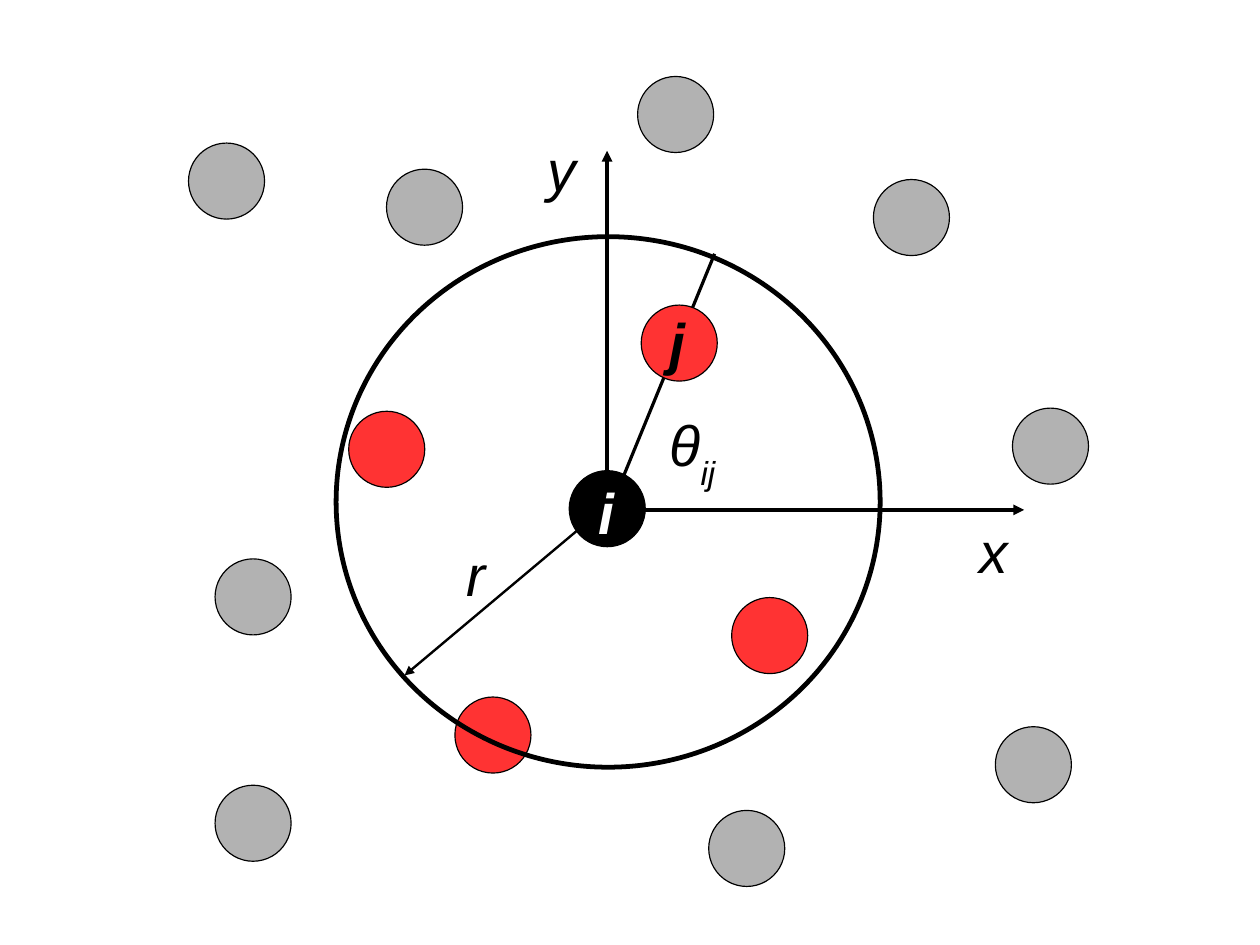
from lxml.etree import SubElement
from pptx import Presentation
from pptx.dml.color import RGBColor
from pptx.enum.shapes import MSO_CONNECTOR, MSO_SHAPE
from pptx.enum.text import MSO_AUTO_SIZE
from pptx.oxml.ns import qn
from pptx.util import Cm, Pt

BLACK = RGBColor(0x00, 0x00, 0x00)
WHITE = RGBColor(0xFF, 0xFF, 0xFF)
GREY = RGBColor(0xB2, 0xB2, 0xB2)
RED = RGBColor(0xFF, 0x33, 0x33)

DIAMETER = 1.69
DISTANT = [
    (4.19, 3.18), (8.59, 3.76), (14.17, 1.7), (19.41, 3.99), (22.5, 9.07),
    (4.78, 12.42), (4.78, 17.45), (15.75, 18.01), (22.12, 16.15),
]
NEIGHBOURS = [(7.75, 9.14), (10.11, 15.49), (16.26, 13.28)]


def add_ellipse(slide, left, top, width=DIAMETER, height=DIAMETER, fill=None, weight=0):
    ellipse = slide.shapes.add_shape(
        MSO_SHAPE.OVAL, Cm(left), Cm(top), Cm(width), Cm(height))
    ellipse.shadow.inherit = False
    if fill is None:
        ellipse.fill.background()
    else:
        ellipse.fill.solid()
        ellipse.fill.fore_color.rgb = fill
    ellipse.line.color.rgb = BLACK
    ellipse.line.width = Pt(weight)


def add_line(slide, start, end, weight=0, arrows=()):
    line = slide.shapes.add_connector(
        MSO_CONNECTOR.STRAIGHT, *(Cm(value) for value in start + end))
    line.line.color.rgb = BLACK
    line.line.width = Pt(weight)
    for arrow in arrows:
        SubElement(line.line._get_or_add_ln(), qn(f"a:{arrow}"), type="triangle")
    SubElement(line._element.spPr, qn("a:effectLst"))


def add_label(slide, text, left, top, height=1.73, subscript="", color=BLACK, bold=False):
    label = slide.shapes.add_textbox(Cm(left), Cm(top), Cm(2.08), Cm(height))
    frame = label.text_frame
    frame.word_wrap = True
    frame.auto_size = MSO_AUTO_SIZE.SHAPE_TO_FIT_TEXT
    for part, baseline in ((text, 0), (subscript, -33000)):
        if not part:
            continue
        run = frame.paragraphs[0].add_run()
        run.text = part
        run.font.name = "Arial"
        run.font.size = Pt(36)
        run.font.italic = True
        run.font.bold = bold
        run.font.color.rgb = color
        if baseline:
            run._r.get_or_add_rPr().set("baseline", str(baseline))


def main():
    presentation = Presentation()
    presentation.slide_width = Cm(28)
    presentation.slide_height = Cm(21)
    slide = presentation.slides.add_slide(presentation.slide_layouts[6])

    for particles, color in ((DISTANT, GREY), (NEIGHBOURS, RED)):
        for left, top in particles:
            add_ellipse(slide, left, top, fill=color)
    add_ellipse(slide, 7.47, 5.26, 12.09, 11.79, weight=3)

    add_line(slide, (13.79, 11.33), (22.76, 11.33), 2.3, ["tailEnd"])
    add_line(slide, (13.49, 10.8), (13.49, 3.35), 2.3, ["tailEnd"])
    add_label(slide, "x", 21.51, 11.35)
    add_label(slide, "y", 11.91, 2.87)

    add_line(slide, (13.59, 11.23), (15.88, 5.64))
    add_ellipse(slide, 14.25, 6.78, fill=RED)
    add_label(slide, "j", 14.63, 6.71, bold=True)
    add_label(slide, "θ", 14.63, 8.97, height=2.06, subscript="ij")

    add_line(slide, (13.41, 11.3), (8.99, 15.01), 1.5, ["headEnd", "tailEnd"])
    add_ellipse(slide, 12.65, 10.46, fill=BLACK)
    add_label(slide, "i", 13.06, 10.49, color=WHITE, bold=True)
    add_label(slide, "r", 10.11, 11.86)

    presentation.save("out.pptx")


if __name__ == "__main__":
    main()
